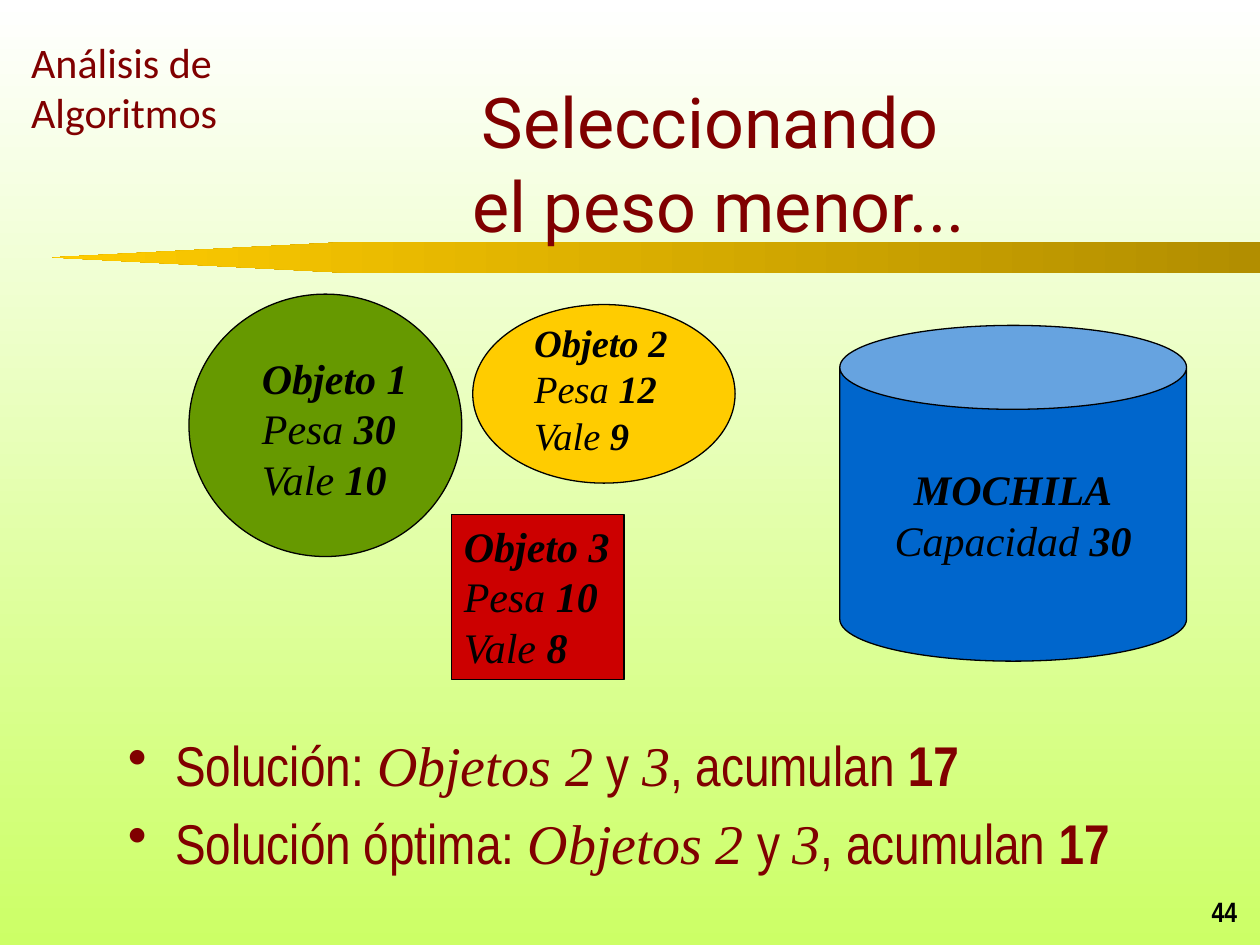
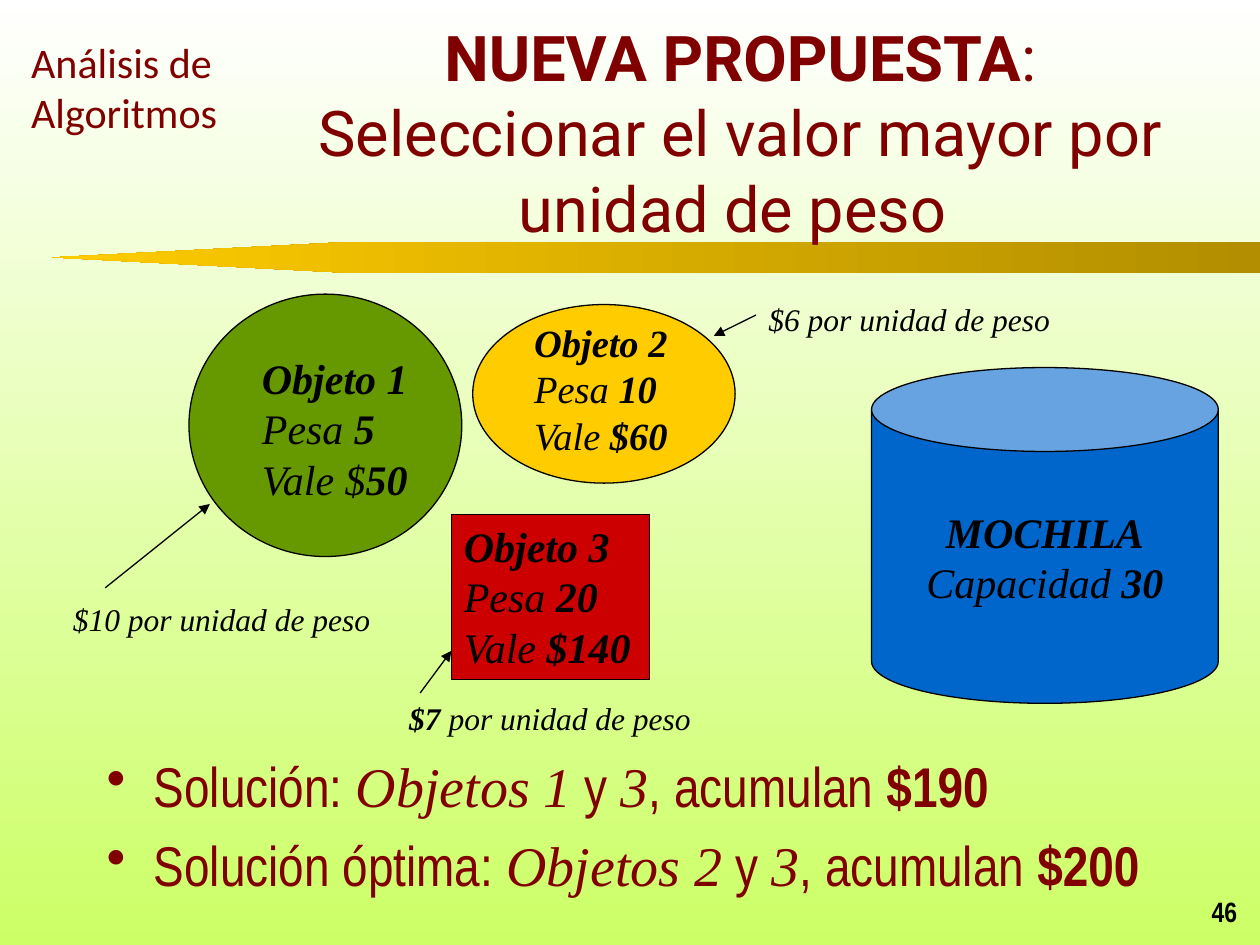
from lxml.etree import SubElement
from pptx import Presentation
from pptx.dml.color import RGBColor
from pptx.enum.shapes import MSO_CONNECTOR as Link, MSO_SHAPE as Form
from pptx.enum.text import MSO_ANCHOR as Anchor, MSO_AUTO_SIZE as Fit, PP_ALIGN as Align
from pptx.oxml.ns import qn
from pptx.util import Cm, Pt

COLOURS = {
    "maroon": "800000", "black": "000000", "white": "FFFFFF", "lime": "CCFF66",
    "gold": "FFCC00", "bronze": "B28E00", "green": "669900", "red": "CC0000", "blue": "0066CC",
}
SERIF, NARROW = "Times New Roman", "Arial Narrow"


def colour(name):
    return RGBColor.from_string(COLOURS[name])


def lengths(values):
    return [Cm(value) for value in values]


class Slides:
    def __init__(self):
        self.deck = Presentation()
        self.deck.slide_width, self.deck.slide_height = Cm(25.4), Cm(19.05)
        self.page = None

    def start(self, number, title, area, size):
        self.page = self.deck.slides.add_slide(self.deck.slide_layouts[5])
        self.gradient(self.page.background.fill, "white", "lime", 270)
        self.band()
        self.text((0.38, 0.61, 5.77, 2.29), [[("Análisis de", "")], [("Algoritmos", "")]],
                  24, "Calibri", "maroon", wrap=True)
        self.text((19.9, 17.98, 5.29, 0.85), [[(str(number), "b")]], 16, NARROW,
                  align=Align.RIGHT, anchor=Anchor.BOTTOM, wrap=True)
        self.title(title, area, size)

    def gradient(self, fill, first, last, angle):
        fill.gradient()
        fill.gradient_angle = angle
        for stop, name in zip(fill.gradient_stops, (first, last)):
            stop.color.rgb = colour(name)

    def band(self):
        band = self.page.shapes.add_shape(Form.PENTAGON, *lengths((1.06, 4.87, 24.34, 0.64)))
        band.adjustments[0] = 9.58
        band.element.spPr.find(qn("a:xfrm")).set("flipH", "1")
        band.shadow.inherit = False
        band.line.fill.background()
        self.gradient(band.fill, "bronze", "gold", 0)

    def title(self, spans, area, size):
        title = self.page.shapes.title
        title.left, title.top, title.width, title.height = lengths(area)
        title.element.getparent().append(title.element)
        self.letter(title, [spans], size, "Roboto", "maroon", Align.CENTER, Anchor.MIDDLE, True)

    def letter(self, box, lines, size, font=SERIF, ink="black", align=Align.LEFT,
               anchor=Anchor.TOP, wrap=False):
        frame = box.text_frame
        frame.text = "\n".join("" for _ in lines)
        frame.word_wrap, frame.auto_size, frame.vertical_anchor = wrap, Fit.NONE, anchor
        for para, spans in zip(frame.paragraphs, lines):
            para.alignment = align
            para.text = spans[0][0]
            for words, _ in spans[1:]:
                para.add_run().text = words
            for span in para.runs:
                span.font.size, span.font.name = Pt(size), font
                span.font.color.rgb = colour(ink)
                span.font.bold = span.font.italic = False
            for span, (_, style) in zip(para.runs, spans):
                span.font.bold, span.font.italic = "b" in style, "i" in style

    def text(self, area, lines, size, font=SERIF, ink="black", group=None, **layout):
        box = (group or self.page).shapes.add_textbox(*lengths(area))
        self.letter(box, lines, size, font, ink, **layout)
        return box

    def shape(self, form, area, fill, group=None):
        shape = (group or self.page).shapes.add_shape(form, *lengths(area))
        shape.shadow.inherit = False
        shape.fill.solid()
        shape.fill.fore_color.rgb = colour(fill)
        shape.line.color.rgb = colour("black")
        shape.line.width = Pt(0.75)
        return shape

    def disc(self, area, fill, text_area, lines, size):
        group = self.page.shapes.add_group_shape()
        self.shape(Form.OVAL, area, fill, group)
        self.text(text_area, lines, size, group=group)

    def objects(self, facts, square_width):
        first, second, third = [
            [[(f"Objeto {index}", "bi")], [("Pesa ", "i"), (weight, "bi")],
             [(f"Vale {sign}", "i"), (value, "bi")]]
            for index, (weight, sign, value) in enumerate(facts, 1)]
        self.disc((3.81, 5.93, 5.5, 5.29), "green", (5.03, 6.98, 3.5, 3.3), first, 24)
        self.disc((9.53, 6.14, 5.29, 3.6), "gold", (10.52, 6.31, 3.25, 3.05), second, 22)
        square = self.shape(Form.RECTANGLE, (9.1, 10.37, square_width, 3.33), "red")
        self.letter(square, third, 24)

    def knapsack(self, left, top):
        can = self.shape(Form.CAN, (left, top, 6.99, 6.77), "blue")
        can.adjustments[0] = 0.25
        lines = [[("MOCHILA", "bi")], [("Capacidad ", "i"), ("30", "bi")]]
        self.letter(can, lines, 24, align=Align.CENTER, anchor=Anchor.MIDDLE)

    def solutions(self, area, answers):
        lines = [[(f"{label}: ", ""), (f"Objetos {chosen}", "i"), (" y ", ""), ("3", "i"),
                  (", acumulan ", ""), (total, "b")] for label, chosen, total in answers]
        box = self.text(area, lines, 32, NARROW, "maroon", wrap=True)
        for para in box.text_frame.paragraphs:
            para.space_before = Pt(6.4)
            properties = para._p.get_or_add_pPr()
            properties.set("marL", str(Cm(0.95)))
            properties.set("indent", str(-Cm(0.95)))
            SubElement(properties, qn("a:buChar")).set("char", "•")
            for span in para.runs:
                if span.font.italic:
                    span.font.name = SERIF

    def arrow(self, start, end):
        arrow = self.page.shapes.add_connector(Link.STRAIGHT, *lengths(start + end))
        arrow.line.color.rgb = colour("black")
        arrow.line.width = Pt(0.75)
        outline = arrow.element.spPr.find(qn("a:ln"))
        SubElement(outline, qn("a:tailEnd")).set("type", "triangle")
        SubElement(arrow.element.spPr, qn("a:effectLst"))


def main():
    slides = Slides()

    slides.start(44, [("Seleccionando \vel peso menor...", "")], (5.5, 1.69, 17.99, 3.18), 40)
    slides.solutions((2.33, 14.6, 20.75, 3.18),
                     [("Solución", 2, "17"), ("Solución óptima", 2, "17")])
    slides.objects([("30", "", "10"), ("12", "", "9"), ("10", "", "8")], 3.48)
    slides.knapsack(16.93, 6.56)

    slides.start(46, [("NUEVA PROPUESTA", "b"),
                      (": Seleccionar el valor mayor por unidad de peso ", "")],
                 (5.93, 1.06, 17.99, 3.18), 36)
    slides.solutions((1.9, 15.03, 21.59, 3.18),
                     [("Solución", 1, "$190"), ("Solución óptima", 2, "$200")])
    slides.objects([("5", "$", "50"), ("10", "", "$60"), ("20", "", "$140")], 3.99)
    slides.knapsack(17.57, 7.41)
    ratios = [
        ("$10", "i", (1.22, 11.97, 6.5, 1.02), (2.12, 11.85), (4.23, 10.16)),
        ("$7", "bi", (8, 13.97, 6.2, 1.02), (8.47, 13.97), (9.1, 13.12)),
        ("$6", "i", (15.24, 5.93, 6.2, 1.02), (15.24, 6.35), (14.39, 6.77)),
    ]
    for ratio, style, area, start, end in ratios:
        slides.text(area, [[(ratio, style), (" por unidad de peso", "i")]], 18)
        slides.arrow(start, end)

    slides.deck.save("out.pptx")


if __name__ == "__main__":
    main()
